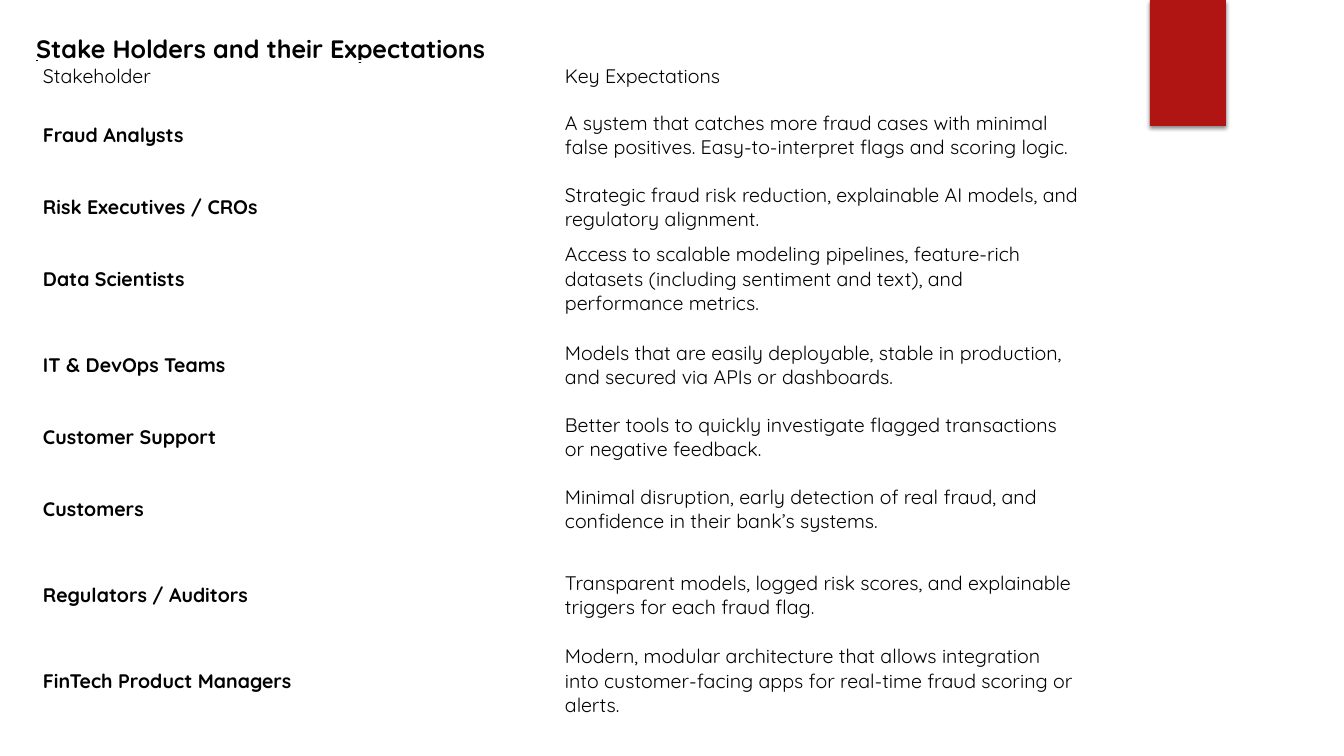
import pptx
import pptx.dml.color
import pptx.enum.shapes
import pptx.enum.text
import pptx.oxml
import pptx.oxml.ns
import pptx.util

EMU_PER_PX = 914400 / 100.8
FONT = "Quicksand"
COLORS = {"text": "000000", "ribbon": "B01513", "shadow": "000000"}

HEADINGS = ("Stakeholder", "Key Expectations")
EXPECTATIONS = [
    ("Fraud Analysts", "A system that catches more fraud cases with minimal false positives. "
     "Easy-to-interpret flags and scoring logic."),
    ("Risk Executives / CROs", "Strategic fraud risk reduction, explainable AI models, "
     "and regulatory alignment."),
    ("Data Scientists", "Access to scalable modeling pipelines, feature-rich datasets "
     "(including sentiment and text), and performance metrics."),
    ("IT & DevOps Teams", "Models that are easily deployable, stable in production, "
     "and secured via APIs or dashboards."),
    ("Customer Support", "Better tools to quickly investigate flagged transactions "
     "or negative feedback."),
    ("Customers", "Minimal disruption, early detection of real fraud, "
     "and confidence in their bank’s systems."),
    ("Regulators / Auditors", "Transparent models, logged risk scores, "
     "and explainable triggers for each fraud flag."),
    ("FinTech Product Managers", "Modern, modular architecture that allows integration into "
     "customer-facing apps for real-time fraud scoring or alerts."),
]
HEADING_HEIGHT, SHORT_ROW, TALL_ROW = 31, 58, 86
SHORT_STAKEHOLDERS = {"Risk Executives / CROs", "Customer Support"}


def px(length):
    return pptx.util.Emu(round(length * EMU_PER_PX))


def rgb(name):
    return pptx.dml.color.RGBColor.from_string(COLORS[name])


def add_run(paragraph, text, size, bold=False, underline=False):
    run = paragraph.add_run()
    run.text = text
    font = run.font
    font.name, font.size, font.bold = FONT, pptx.util.Pt(size), bold
    font.underline = underline
    font.color.rgb = rgb("text")


def add_ribbon(slide, left, top, width, height):
    ribbon = slide.shapes.add_shape(pptx.enum.shapes.MSO_SHAPE.RECTANGLE,
                                    px(left), px(top), px(width), px(height))
    ribbon.fill.solid()
    ribbon.fill.fore_color.rgb = rgb("ribbon")
    ribbon.line.fill.background()
    ribbon.shadow.inherit = False
    effects = ribbon.element.spPr.find(pptx.oxml.ns.qn("a:effectLst"))
    effects.append(pptx.oxml.parse_xml(
        f'<a:outerShdw {pptx.oxml.ns.nsdecls("a")} blurRad="38100" dist="25400" '
        f'dir="5400000" rotWithShape="0"><a:srgbClr val="{COLORS["shadow"]}">'
        '<a:alpha val="45000"/></a:srgbClr></a:outerShdw>'))


def set_title(slide, text, left, top, width, height):
    title = slide.shapes.title
    title.left, title.top = px(left), px(top)
    title.width, title.height = px(width), px(height)
    frame = title.text_frame
    frame.word_wrap = True
    frame.auto_size = pptx.enum.text.MSO_AUTO_SIZE.NONE
    frame.vertical_anchor = pptx.enum.text.MSO_ANCHOR.TOP
    paragraph = frame.paragraphs[0]
    paragraph.alignment = pptx.enum.text.PP_ALIGN.LEFT
    add_run(paragraph, text, 18, bold=True, underline=True)


def fill_cell(cell, text, bold):
    cell.fill.background()
    cell.vertical_anchor = pptx.enum.text.MSO_ANCHOR.MIDDLE
    cell.margin_left = cell.margin_right = px(4)
    cell.margin_top = cell.margin_bottom = px(2)
    add_run(cell.text_frame.paragraphs[0], text, 14, bold)


def add_expectations_table(slide, left, top, column_width):
    rows = [HEADINGS, *EXPECTATIONS]
    heights = [HEADING_HEIGHT] + [SHORT_ROW if name in SHORT_STAKEHOLDERS else TALL_ROW
                                  for name, _ in EXPECTATIONS]
    table = slide.shapes.add_table(len(rows), len(HEADINGS), px(left), px(top),
                                   px(column_width * len(HEADINGS)), px(sum(heights))).table
    table.first_row = table.horz_banding = False
    for column in table.columns:
        column.width = px(column_width)
    for row_index, (texts, height) in enumerate(zip(rows, heights)):
        table.rows[row_index].height = px(height)
        for column_index, text in enumerate(texts):
            is_stakeholder = row_index > 0 and column_index == 0
            fill_cell(table.cell(row_index, column_index), text, is_stakeholder)


def main():
    presentation = pptx.Presentation()
    presentation.slide_width, presentation.slide_height = px(1344), px(756)
    title_only = presentation.slide_layouts[5]
    slide = presentation.slides.add_slide(title_only)
    add_ribbon(slide, 1150, 0, 76, 126)
    add_expectations_table(slide, 39, 61, 522)
    set_title(slide, "Stake Holders and their Expectations", 26, 28, 646, 40)
    presentation.save("out.pptx")


if __name__ == "__main__":
    main()
